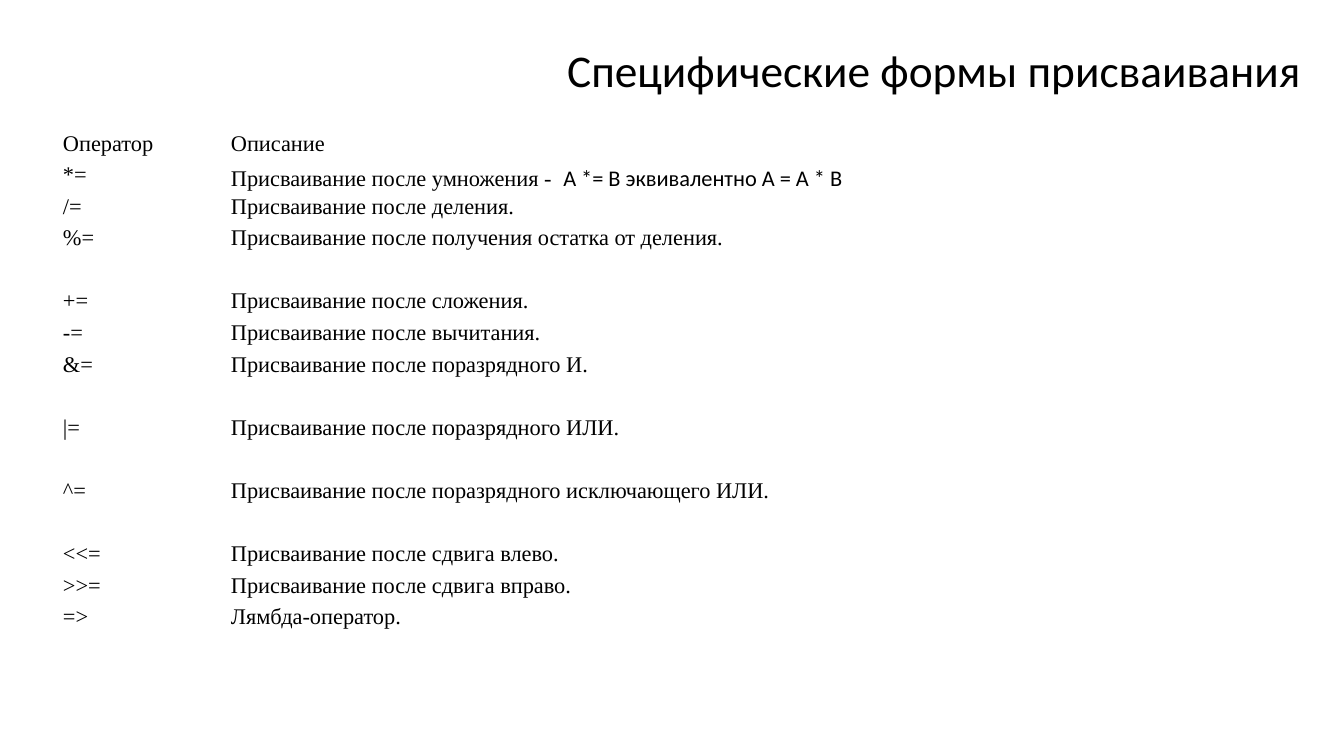
from dataclasses import dataclass
from pptx import Presentation
from pptx.dml.color import RGBColor
from pptx.enum.text import MSO_ANCHOR, MSO_AUTO_SIZE, PP_ALIGN
from pptx.util import Pt

TITLE = "Специфические формы присваивания"
ROWS = [
    ("Оператор", "Описание", 1),
    ("*=", "Присваивание после умножения - ", 1),
    ("/=", "Присваивание после деления.", 1),
    ("%=", "Присваивание после получения остатка от деления.", 2),
    ("+=", "Присваивание после сложения.", 1),
    ("-=", "Присваивание после вычитания.", 1),
    ("&=", "Присваивание после поразрядного И.", 2),
    ("|=", "Присваивание после поразрядного ИЛИ.", 2),
    ("^=", "Присваивание после поразрядного исключающего ИЛИ.", 2),
    ("<<=", "Присваивание после сдвига влево.", 1),
    (">>=", "Присваивание после сдвига вправо.", 1),
    ("=>", "Лямбда-оператор.", 1),
]
EXAMPLE = "A *= B\u00a0эквивалентно\u00a0A = A * B"


@dataclass(frozen=True)
class Theme:
    ink: RGBColor = RGBColor(0, 0, 0)
    paper: RGBColor = RGBColor(255, 255, 255)
    sans: str = "Calibri"
    serif: str = "Times New Roman"
    title: float = 32.4
    gap: float = 18
    body: float = 16


theme = Theme()
SCALE = 914400 / 100.8
TITLE_BOX = (544, 15, 780, 116)
TABLE_BOX = (56, 131, 804, 506)
COLUMNS = (168, 636)
CELL_PAD = 7


def px(n):
    return round(n * SCALE)


def style(font, name, size):
    font.name, font.size, font.bold = name, Pt(size), False
    font.color.rgb = theme.ink


def fill_cell(cell, text):
    cell.fill.background()
    cell.margin_left = cell.margin_right = px(CELL_PAD)
    cell.margin_top = cell.margin_bottom = 0
    p = cell.text_frame.paragraphs[0]
    p.add_run().text = text
    style(p.font, theme.serif, theme.body)
    return p


prs = Presentation()
prs.slide_width, prs.slide_height = px(1344), px(756)
s = prs.slides.add_slide(prs.slide_layouts[5])
s.background.fill.solid()
s.background.fill.fore_color.rgb = theme.paper

title = s.shapes.title
title.left, title.top, title.width, title.height = map(px, TITLE_BOX)
tf = title.text_frame
tf.text = TITLE
tf.word_wrap = True
tf.auto_size = MSO_AUTO_SIZE.NONE
tf.vertical_anchor = MSO_ANCHOR.MIDDLE
p = tf.paragraphs[0]
p.alignment, p.line_spacing = PP_ALIGN.CENTER, 0.9
style(p.font, theme.sans, theme.title)

table = s.shapes.add_table(len(ROWS), len(COLUMNS), *map(px, TABLE_BOX)).table
table.first_row = table.horz_banding = False
for column, width in zip(table.columns, COLUMNS):
    column.width = px(width)

line = TABLE_BOX[3] / sum(lines for _, _, lines in ROWS)
for i, (operator, description, lines) in enumerate(ROWS):
    table.rows[i].height = px(lines * line)
    fill_cell(table.cell(i, 0), operator)
    p = fill_cell(table.cell(i, 1), description)
    if operator == "*=":
        for text, size in (("\u00a0", theme.gap), (EXAMPLE, theme.body)):
            r = p.add_run()
            r.text = text
            style(r.font, theme.sans, size)

prs.save("out.pptx")
